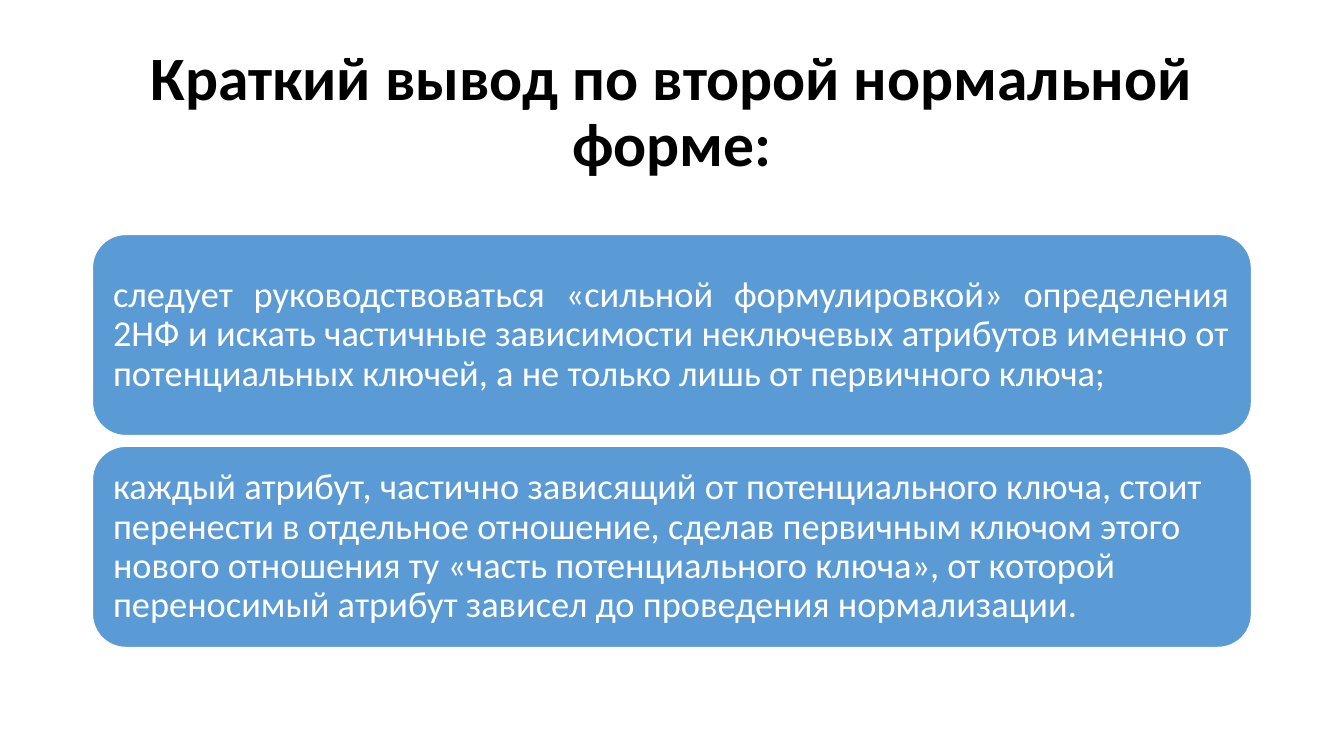
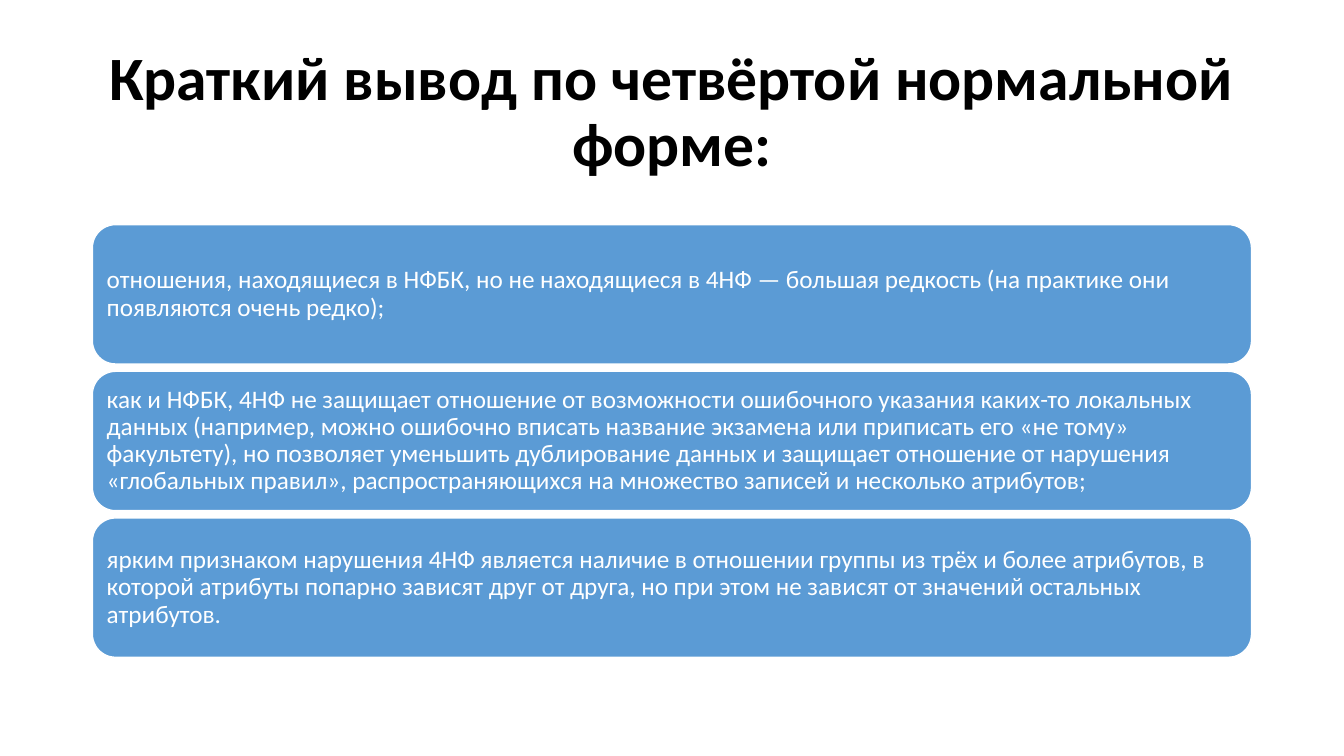
from pptx import Presentation
from pptx.dml.color import RGBColor
from pptx.enum.shapes import MSO_SHAPE
from pptx.enum.text import MSO_ANCHOR, PP_ALIGN
from pptx.util import Pt

FONT = "Calibri"
BLACK, WHITE, BLUE = "000000", "FFFFFF", "5B9BD5"
TITLE_BOX = (66, 28.8, 828, 104.4)
BODY_BOX = (66, 157.5, 828, 315)
CARD_HEIGHT, CARD_GAP, CARD_INSET = 5.53, 0.29, 0.3

SLIDES = [
    (
        "Краткий вывод по второй нормальной форме:",
        26,
        [
            ("следует руководствоваться «сильной формулировкой» определения 2НФ "
             "и искать частичные зависимости неключевых атрибутов именно от "
             "потенциальных ключей, а не только лишь от первичного ключа;",
             PP_ALIGN.JUSTIFY),
            ("каждый атрибут, частично зависящий от потенциального ключа, стоит "
             "перенести в отдельное отношение, сделав первичным ключом этого "
             "нового отношения ту «часть потенциального ключа», от которой "
             "переносимый атрибут зависел до проведения нормализации.",
             PP_ALIGN.LEFT),
        ],
    ),
    (
        "Краткий вывод по четвёртой нормальной форме:",
        18,
        [
            ("отношения, находящиеся в НФБК, но не находящиеся в 4НФ — большая "
             "редкость (на практике они появляются очень редко);",
             PP_ALIGN.LEFT),
            ("как и НФБК, 4НФ не защищает отношение от возможности ошибочного "
             "указания каких-то локальных данных (например, можно ошибочно "
             "вписать название экзамена или приписать его «не тому» "
             "факультету), но позволяет уменьшить дублирование данных и "
             "защищает отношение от нарушения «глобальных правил», "
             "распространяющихся на множество записей и несколько атрибутов;",
             PP_ALIGN.LEFT),
            ("ярким признаком нарушения 4НФ является наличие в отношении группы "
             "из трёх и более атрибутов, в которой атрибуты попарно зависят "
             "друг от друга, но при этом не зависят от значений остальных "
             "атрибутов.",
             PP_ALIGN.LEFT),
        ],
    ),
]


def color(value):
    return RGBColor.from_string(value)


def write(shape, text, size, ink, align, bold=False):
    frame = shape.text_frame
    frame.word_wrap = True
    frame.vertical_anchor = MSO_ANCHOR.MIDDLE
    frame.text = text
    para = frame.paragraphs[0]
    para.alignment = align
    para.line_spacing = 0.9
    font = para.runs[0].font
    font.name, font.size, font.bold = FONT, Pt(size), bold
    font.color.rgb = color(ink)


def add_title(page, box, text):
    title = page.shapes.add_textbox(*map(Pt, box))
    write(title, text, 44, BLACK, PP_ALIGN.CENTER, bold=True)


def add_card(page, box, text, size, align):
    card = page.shapes.add_shape(MSO_SHAPE.ROUNDED_RECTANGLE, *map(Pt, box))
    card.shadow.inherit = False
    card.fill.solid()
    card.fill.fore_color.rgb = color(BLUE)
    card.line.color.rgb = color(WHITE)
    card.line.width = Pt(1)
    write(card, text, size, WHITE, align)
    frame = card.text_frame
    inset = Pt(CARD_INSET * size)
    frame.margin_left = frame.margin_right = inset
    frame.margin_top = frame.margin_bottom = inset


def add_card_stack(page, box, size, cards):
    left, top, width, height = box
    card_height, gap = CARD_HEIGHT * size, CARD_GAP * size
    pitch = card_height + gap
    first = top + (height - len(cards) * pitch + gap) / 2
    for index, (text, align) in enumerate(cards):
        card_box = (left, first + index * pitch, width, card_height)
        add_card(page, card_box, text, size, align)


def main():
    deck = Presentation()
    deck.slide_width, deck.slide_height = Pt(960), Pt(540)
    for title, size, cards in SLIDES:
        page = deck.slides.add_slide(deck.slide_layouts[6])
        add_title(page, TITLE_BOX, title)
        add_card_stack(page, BODY_BOX, size, cards)
    deck.save("out.pptx")


if __name__ == "__main__":
    main()
